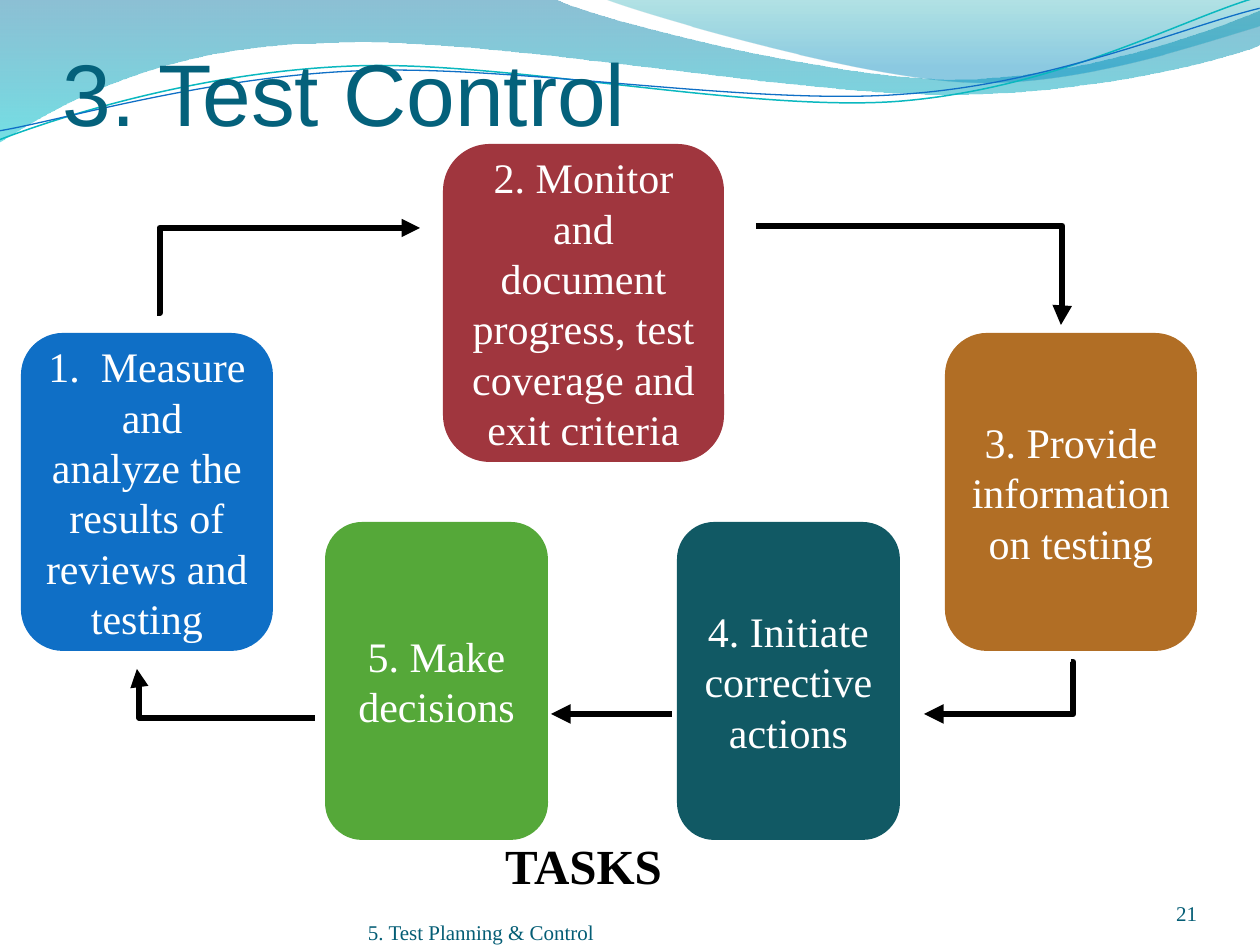
"""Build the Test Control task cycle slide."""
from lxml import etree
from pptx import Presentation
from pptx import util as u
from pptx.dml.color import RGBColor
from pptx.enum import shapes, text
from pptx.oxml.ns import qn

SERIF = "Times New Roman"


def px(n):
    return round(n * 914400 / 126)


def hue(code):
    return RGBColor.from_string(code)


def write(frame, words, size=24, color="FFFFFF", font=SERIF, bold=False,
          align="CENTER", anchor="MIDDLE", inset=None):
    frame.word_wrap = True
    frame.vertical_anchor = text.MSO_ANCHOR[anchor]
    if inset is not None:
        frame.margin_left = frame.margin_right = px(inset)
        frame.margin_top = frame.margin_bottom = px(inset)
    para = frame.paragraphs[0]
    para.alignment = text.PP_ALIGN[align]
    run = para.add_run()
    run.text = words
    run.font.size = u.Pt(size)
    run.font.name = font
    run.font.bold = bold
    run.font.color.rgb = hue(color)


class Deck:
    def __init__(self):
        self.show = Presentation()
        self.show.slide_width, self.show.slide_height = px(1260), px(945)
        self.slide = self.show.slides.add_slide(self.show.slide_layouts[6])
        self.items = self.slide.shapes

    def curve(self, start, steps, close):
        pen = self.items.build_freeform(*map(px, start), scale=1.0)
        pen.add_line_segments(
            [(px(x), px(y)) for x, y in (s[-2:] for s in steps)], close=close)
        shape = pen.convert_to_shape()
        shape.shadow.inherit = False
        lines = list(shape._element.spPr.iter(qn("a:lnTo")))
        for line, step in zip(lines, steps):
            if len(step) == 6:
                line.tag = qn("a:cubicBezTo")
                for i in (0, 2):
                    knot = etree.Element(
                        qn("a:pt"), x=str(px(step[i]) - shape.left),
                        y=str(px(step[i + 1]) - shape.top))
                    line.insert(i // 2, knot)
        return shape

    def wave(self, start, steps, stops):
        shape = self.curve(start, steps, True)
        shape.line.fill.background()
        shape.fill.gradient()
        shape.fill.gradient_angle = 270
        for stop, (place, color, alpha) in zip(shape.fill.gradient_stops, stops):
            stop.position = place
            stop.color.rgb = hue(color)
        tints = shape._element.spPr.iter(qn("a:srgbClr"))
        for tint, (place, color, alpha) in zip(tints, stops):
            etree.SubElement(tint, qn("a:alpha"), val=str(alpha * 1000))

    def strand(self, start, steps, color, width):
        shape = self.curve(start, steps, False)
        shape.rotation = 357.3
        shape.fill.background()
        shape.line.color.rgb = hue(color)
        shape.line.width = u.Pt(width)

    def label(self, box, words, **style):
        frame = self.items.add_textbox(*map(px, box)).text_frame
        write(frame, words, **style)

    def card(self, box, words, color):
        shape = self.items.add_shape(
            shapes.MSO_SHAPE.ROUNDED_RECTANGLE, *map(px, box))
        shape.shadow.inherit = False
        shape.fill.solid()
        shape.fill.fore_color.rgb = hue(color)
        shape.line.fill.background()
        write(shape.text_frame, words)

    def arrow(self, ends, width=3.75, bend=None):
        kind = "STRAIGHT" if bend is None else "ELBOW"
        link = self.items.add_connector(shapes.MSO_CONNECTOR[kind], *map(px, ends))
        link.line.color.rgb = hue("000000")
        link.line.width = u.Pt(width)
        props = link._element.spPr
        etree.SubElement(props.find(qn("a:ln")), qn("a:tailEnd"), type="triangle")
        etree.SubElement(props, qn("a:effectLst"))
        if bend is not None:
            guides = next(props.iter(qn("a:avLst")))
            etree.SubElement(guides, qn("a:gd"), name="adj1",
                             fmla=f"val {round(bend * 100000)}")


def main():
    deck = Deck()
    deck.wave((0, 0), [
        (554, -1), (600, 21, 837, 79, 955, 79), (1075, 79, 1207, 33, 1260, 11),
        (1261, 45), (1239, 55, 1096, 96, 940, 94), (784, 94, 481, 35, 324, 43),
        (163, 45, 58, 105, -1, 142),
    ], [(0, "0074A1", 45), (1, "00C6CF", 55)])
    deck.wave((604, -1), [
        (641, 14, 859, 78, 969, 82), (1079, 87, 1211, 40, 1260, 26), (1260, 0),
    ], [(0, "00A1A9", 30), (0.8, "008BBF", 45)])
    deck.strand((-3, 110), [
        (58, 90, 199, 52, 350, 53), (499, 53, 745, 118, 896, 114),
        (1056, 109, 1184, 45, 1260, 27),
    ], "0AB8BF", 0.85)
    deck.strand((-2, 101), [
        (57, 94, 207, 57, 357, 58), (509, 58, 750, 112, 902, 107),
        (1052, 104, 1188, 52, 1262, 38),
    ], "0F6FC6", 0.75)

    deck.label((63, 31, 1134, 113), "3. Test Control", size=50, font="Arial",
               color="04617B", align="LEFT", anchor="BOTTOM", inset=0)
    foot = dict(size=12, color="045D75", anchor="BOTTOM", inset=0)
    deck.label((368, 895, 462, 50), "5. Test Planning & Control",
               align="LEFT", **foot)
    deck.label((1092, 876, 105, 50), "21", align="RIGHT", **foot)

    tall = 318
    for left, top, wide, color, words in [
        (21, 333, 252, "0F6FC6",
         "1.  Measure  and analyze the results of reviews and testing"),
        (443, 144, 281, "A0363E",
         "2. Monitor and document progress, test coverage and exit criteria"),
        (945, 333, 252, "B16E25", "3. Provide information on testing"),
        (677, 522, 223, "115964", "4. Initiate corrective actions"),
        (325, 522, 223, "55A839", "5. Make decisions"),
    ]:
        deck.card((left, top, wide, tall), words, color)

    deck.arrow((157, 313, 420, 228), width=3.5, bend=0.01)
    deck.arrow((756, 226, 1061, 325), bend=1.004)
    deck.arrow((1071, 662, 924, 714), bend=-0.014)
    deck.arrow((672, 714, 551, 714))
    deck.arrow((315, 718, 137, 669), width=3.5, bend=0.988)
    deck.label((443, 829, 281, 72), "TASKS", size=28, color="000000",
               bold=True, anchor="TOP")
    deck.show.save("out.pptx")


if __name__ == "__main__":
    main()
